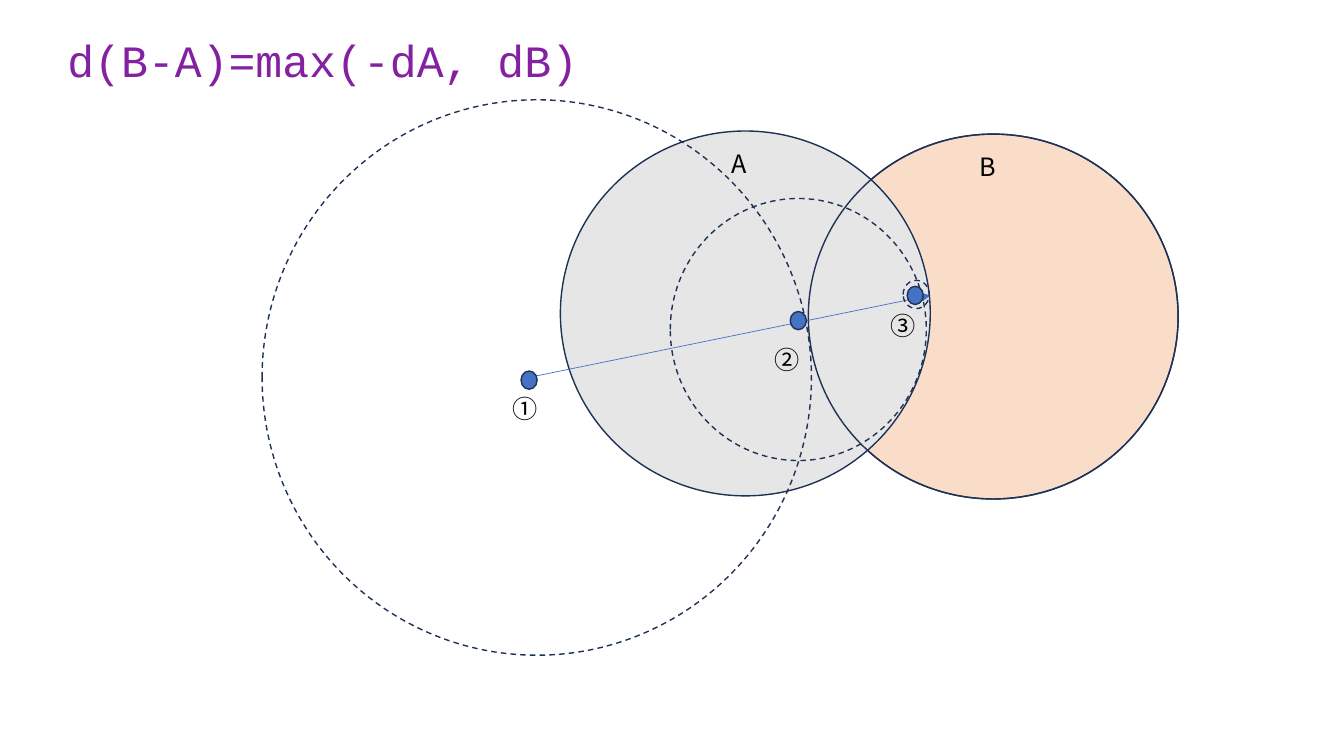
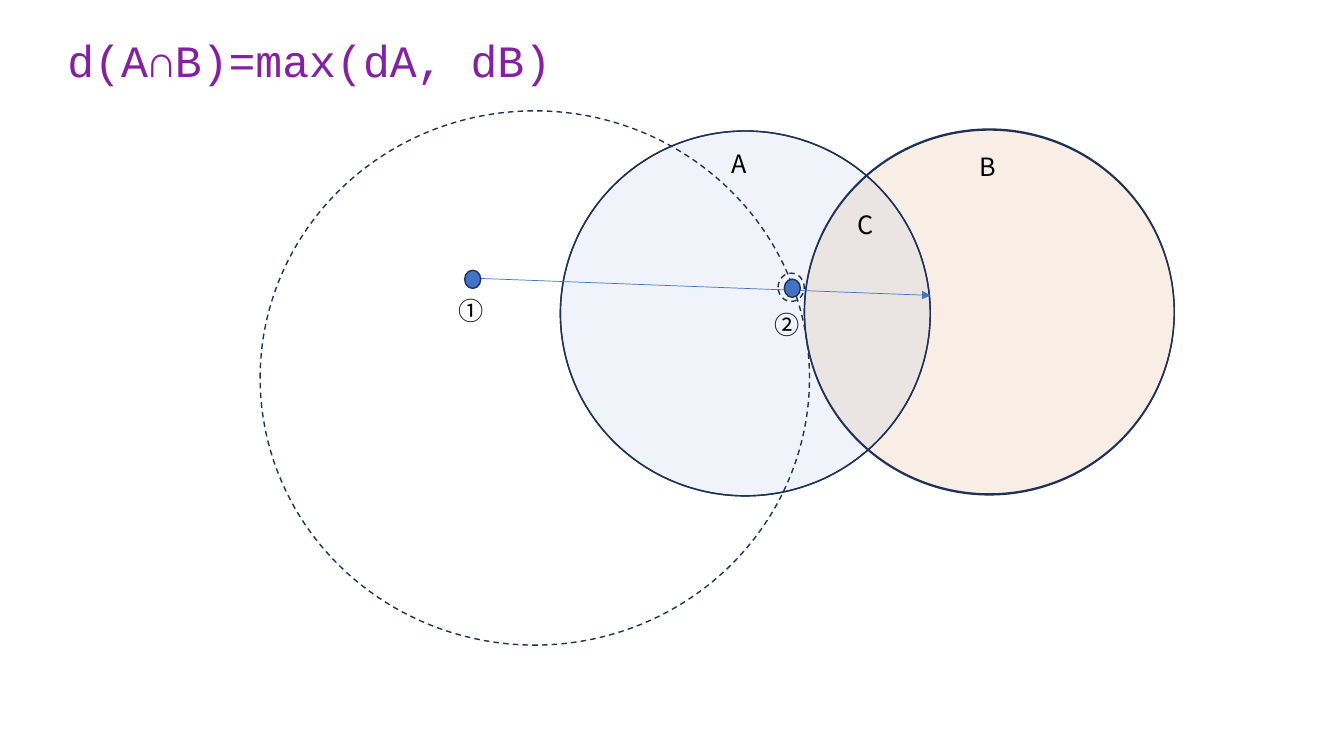
"""Build two slides that show distance fields of combined circles."""
import dataclasses
import typing

import lxml.etree
import pptx
import pptx.dml.color
import pptx.enum.dml
import pptx.enum.shapes
import pptx.enum.text
import pptx.oxml.ns
import pptx.slide
import pptx.util


@dataclasses.dataclass(frozen=True)
class Theme:
    title_color: str = "8421A2"
    text_color: str = "000000"
    outline: str = "1E3256"
    accent: str = "4472C4"
    grey: str = "E7E6E6"
    peach: str = "F8CBAD"
    rust: str = "C55A11"
    title_font: str = "Courier New"
    label_font: str = "Noto Sans CJK SC"
    title_size: float = 32
    label_size: float = 18
    outline_width: float = 1
    ray_width: float = 0.5


THEME = Theme()
DISC_SIZE = (264.2, 260.6)
DOT_SIZE = (11.5, 13)
HALO_SIZE = (18.7, 20.2)
DISC_A = (400.3, 93.6)


@dataclasses.dataclass(frozen=True)
class Oval:
    left: float
    top: float
    size: tuple[float, float] = DISC_SIZE
    fill: str | None = None
    opacity: int = 100
    dashed: bool = False

    def draw(self, page: pptx.slide.Slide) -> None:
        shape = page.shapes.add_shape(
            pptx.enum.shapes.MSO_SHAPE.OVAL, *points(self.left, self.top, *self.size))
        shape.shadow.inherit = False
        if self.fill is None:
            shape.fill.background()
        else:
            shape.fill.solid()
            shape.fill.fore_color.rgb = color(self.fill)
            if self.opacity < 100:
                tint = shape._element.spPr.find(".//" + pptx.oxml.ns.qn("a:srgbClr"))
                add_node(tint, "a:alpha", val=str(self.opacity * 1000))
        shape.line.color.rgb = color(THEME.outline)
        shape.line.width = pptx.util.Pt(THEME.outline_width)
        if self.dashed:
            shape.line.dash_style = pptx.enum.dml.MSO_LINE.DASH


@dataclasses.dataclass(frozen=True)
class Label:
    text: str
    left: float
    top: float
    width: float = 72

    def draw(self, page: pptx.slide.Slide) -> None:
        add_text(page, self.text, (self.left, self.top, self.width, 28.8),
                 THEME.label_font, THEME.label_size, THEME.text_color,
                 {"word_wrap": True})


@dataclasses.dataclass(frozen=True)
class Ray:
    start: tuple[float, float]
    end: tuple[float, float]

    def draw(self, page: pptx.slide.Slide) -> None:
        ray = page.shapes.add_connector(
            pptx.enum.shapes.MSO_CONNECTOR.STRAIGHT, *points(*self.start, *self.end))
        ray.line.color.rgb = color(THEME.accent)
        ray.line.width = pptx.util.Pt(THEME.ray_width)
        add_node(ray.line._get_or_add_ln(), "a:tailEnd", type="triangle")
        add_node(ray._element.spPr, "a:effectLst")


@dataclasses.dataclass(frozen=True)
class Diagram:
    title: str
    title_width: float
    items: tuple[Oval | Label | Ray, ...]


def points(*values: float) -> list[pptx.util.Length]:
    """Turn numbers into lengths in points."""
    return [pptx.util.Pt(value) for value in values]


def color(code: str) -> pptx.dml.color.RGBColor:
    """Turn a hex code into a colour."""
    return pptx.dml.color.RGBColor.from_string(code)


def add_node(parent: typing.Any, tag: str, **attributes: str) -> None:
    """Append an element to a drawing element."""
    lxml.etree.SubElement(parent, pptx.oxml.ns.qn(tag), attributes)


def add_text(page: pptx.slide.Slide, text: str, area: tuple[float, ...], font: str,
             size: float, text_color: str, frame_format: dict[str, typing.Any]) -> None:
    """Add a one-line text box."""
    box = page.shapes.add_textbox(*points(*area))
    frame_format = {"auto_size": pptx.enum.text.MSO_AUTO_SIZE.SHAPE_TO_FIT_TEXT,
                    **frame_format}
    for name, value in frame_format.items():
        setattr(box.text_frame, name, value)
    para = box.text_frame.paragraphs[0]
    span = para.add_run()
    span.text = text
    for name, value in {"name": font, "size": pptx.util.Pt(size)}.items():
        setattr(span.font, name, value)
    span.font.color.rgb = color(text_color)
    add_node(span.font._element, "a:ea", typeface=font)


def dot(left: float, top: float) -> Oval:
    """Describe a sample point."""
    return Oval(left, top, DOT_SIZE, THEME.accent)


def reach(left: float, top: float, size: tuple[float, float] = HALO_SIZE) -> Oval:
    """Describe the dashed circle around a sample point."""
    return Oval(left, top, size, dashed=True)


def mark(text: str, left: float, top: float) -> Label:
    """Describe the number of a sample point."""
    return Label(text, left, top, 74.2)


LABEL_A = Label("A", 515.5, 102.2)
LABEL_B = Label("B", 692.6, 104.4)
RAY_END = (664.6, 211)

DIAGRAMS = (
    Diagram("d(B-A)=max(-dA, dB)", 392.4, (
        Oval(577.4, 95.8, fill=THEME.peach, opacity=65),
        LABEL_B,
        Oval(*DISC_A, fill=THEME.grey),
        LABEL_A,
        Oval(577.4, 95.8),
        Ray((375.8, 270), RAY_END),
        mark("①", 359.3, 277.2),
        reach(187.2, 71.3, (392.4, 396.7)),
        dot(372.2, 265),
        dot(564.5, 222.5),
        mark("②", 545.8, 242.6),
        reach(478.8, 141.8, (182.9, 187.2)),
        dot(648, 204.5),
        mark("③", 629.3, 218.2),
        reach(645.1, 200.2),
    )),
    Diagram("d(A∩B)=max(dA, dB)", 373, (
        Oval(574.6, 92.2, fill=THEME.rust, opacity=10),
        LABEL_B,
        Oval(*DISC_A),
        Oval(*DISC_A, fill=THEME.accent, opacity=8),
        LABEL_A,
        Oval(574.6, 92.9),
        Ray((337.7, 198.7), RAY_END),
        mark("①", 320.4, 207.4),
        reach(185.8, 79.2, (392.4, 381.6)),
        dot(331.9, 193),
        dot(560.2, 199.4),
        mark("②", 545.8, 217.4),
        reach(555.8, 195.1),
        Label("C", 605.5, 146.2),
    )),
)


def main() -> None:
    """Draw every diagram and save the deck."""
    deck = pptx.Presentation()
    deck.slide_width, deck.slide_height = points(960, 540)
    for diagram in DIAGRAMS:
        page = deck.slides.add_slide(deck.slide_layouts[6])
        add_text(page, diagram.title, (41, 19.4, diagram.title_width, 46.1),
                 THEME.title_font, THEME.title_size, THEME.title_color,
                 {"word_wrap": False,
                  "vertical_anchor": pptx.enum.text.MSO_ANCHOR.MIDDLE})
        for item in diagram.items:
            item.draw(page)
    deck.save("out.pptx")


if __name__ == "__main__":
    main()
